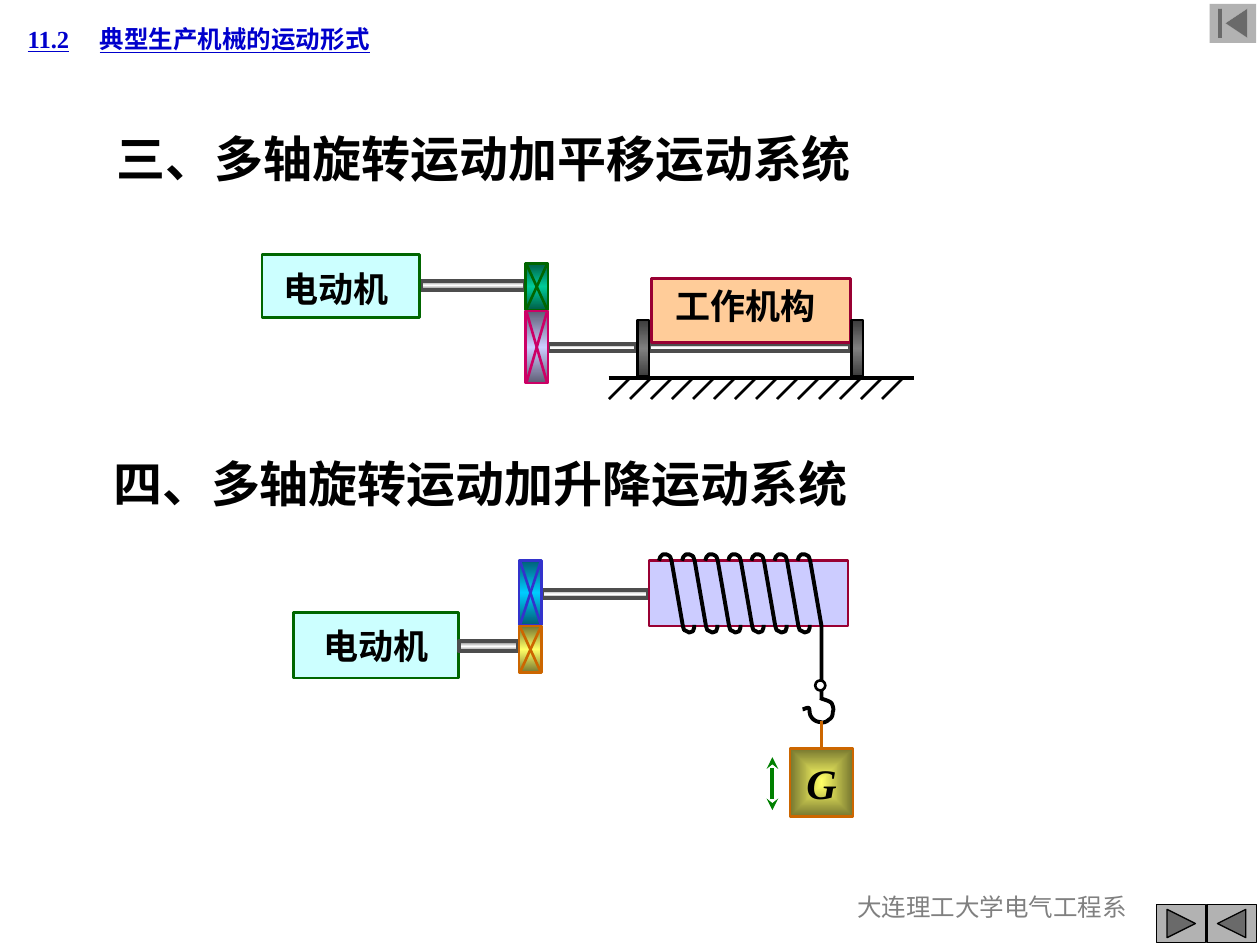
from lxml import etree
from pptx import Presentation
from pptx.dml.color import RGBColor
from pptx.enum.shapes import MSO_CONNECTOR as Connector, MSO_SHAPE as Preset
from pptx.enum.text import MSO_ANCHOR as Anchor, PP_ALIGN as Align
from pptx.oxml import parse_xml
from pptx.oxml.ns import nsdecls, qn
from pptx.util import Inches, Pt

WIDTH, HEIGHT = Inches(10), Inches(7.5)
COLUMNS, ROWS = 100, 75
STEEL = ("767676", "FFFFFF", "767676")
IRON = ("3B3B3B", "808080", "3B3B3B")


def color(value):
    return RGBColor.from_string(value)


def bezier(start, *segments, steps=8):
    """Points along a chain of cubic curves, each (control, control, end)."""
    points = [start]
    for b, c, d in segments:
        a = points[-1]
        for step in range(1, steps + 1):
            t = step / steps
            weights = ((1 - t) ** 3, 3 * t * (1 - t) ** 2, 3 * t * t * (1 - t), t ** 3)
            points.append(tuple(sum(w * p[axis] for w, p in zip(weights, (a, b, c, d)))
                                for axis in (0, 1)))
    return points


class Diagram:
    """Style and current slide; all lengths are grid columns and rows."""
    font_name = "Times New Roman"

    def __init__(self, slide):
        self.slide = slide
        self.shapes = slide.shapes

    def x(self, column):
        return round(WIDTH * column / COLUMNS)

    def y(self, row):
        return round(HEIGHT * row / ROWS)

    def box(self, left, top, width, height):
        return self.x(left), self.y(top), self.x(width), self.y(height)

    def outline(self, shape, value, width):
        shape.line.color.rgb = color(value)
        shape.line.width = Pt(width)

    def set_text(self, shape, text, size, value="000000", align=Align.LEFT, anchor=Anchor.TOP,
                 wrap=False, bold=True, italic=False, underline=False, top=0.5, right=1, tab=None):
        frame = shape.text_frame
        frame.word_wrap = wrap
        frame.vertical_anchor = anchor
        frame.margin_left, frame.margin_right = self.x(1), self.x(right)
        frame.margin_top, frame.margin_bottom = self.y(top), self.y(0.5)
        frame.text = text
        paragraph = frame.paragraphs[0]
        paragraph.alignment = align
        if tab:
            tabs = etree.SubElement(paragraph._p.get_or_add_pPr(), qn("a:tabLst"))
            etree.SubElement(tabs, qn("a:tab"), pos=str(self.x(tab)), algn="l")
        font = paragraph.font
        font.name, font.size, font.color.rgb = self.font_name, Pt(size), color(value)
        font.bold, font.italic, font.underline = bold, italic, underline

    def title(self, text, place, **style):
        shape = self.shapes.title
        shape.left, shape.top, shape.width, shape.height = self.box(*place)
        self.set_text(shape, text, **style)

    def label(self, text, place, **style):
        self.set_text(self.shapes.add_textbox(*self.box(*place)), text, **style)

    def block(self, place, fill, line=None, width=1.5, preset=Preset.RECTANGLE):
        """A preset shape; a tuple of colours gives a vertical gradient."""
        shape = self.shapes.add_shape(preset, *self.box(*place))
        shape.shadow.inherit = False
        if isinstance(fill, tuple):
            self.gradient(shape, fill, '<a:lin ang="5400000" scaled="0"/>')
        else:
            shape.fill.solid()
            shape.fill.fore_color.rgb = color(fill)
        if line:
            self.outline(shape, line, width)
        else:
            shape.line.fill.background()
        return shape

    def gradient(self, shape, colors, direction):
        stops = "".join(
            f'<a:gs pos="{100000 * i // (len(colors) - 1)}"><a:srgbClr val="{value}"/></a:gs>'
            for i, value in enumerate(colors))
        properties = shape._element.spPr
        for old in properties.findall(qn("a:solidFill")):
            properties.remove(old)
        properties.find(qn("a:prstGeom")).addnext(parse_xml(
            f'<a:gradFill {nsdecls("a")} rotWithShape="1"><a:gsLst>{stops}</a:gsLst>'
            f'{direction}</a:gradFill>'))

    def line(self, start, end, value="000000", width=1.5, arrows=False):
        connector = self.shapes.add_connector(
            Connector.STRAIGHT, self.x(start[0]), self.y(start[1]), self.x(end[0]), self.y(end[1]))
        self.outline(connector, value, width)
        if arrows:
            for name in ("a:headEnd", "a:tailEnd"):
                etree.SubElement(connector.line._get_or_add_ln(), qn(name), type="stealth")
        etree.SubElement(connector._element.spPr, qn("a:effectLst"))
        return connector

    def curve(self, points, width=2.25):
        places = [(self.x(column), self.y(row)) for column, row in points]
        builder = self.shapes.build_freeform(*places[0], scale=1.0)
        builder.add_line_segments(places[1:], close=False)
        shape = builder.convert_to_shape()
        shape.shadow.inherit = False
        shape.fill.background()
        self.outline(shape, "000000", width)

    def shaft(self, *place):
        self.block(place, STEEL, "4D4D4D", 2.25)

    def gear(self, left, top, width, height, dark, light, line):
        self.block((left, top, width, height), (dark, light, dark), line)
        right, bottom = left + width - 0.1, top + height - 0.1
        self.line((left + 0.1, top + 0.1), (right, bottom), line)
        self.line((right, top + 0.1), (left + 0.1, bottom), line)

    def machine(self, text, place, fill, line, **style):
        self.set_text(self.block(place, fill, line), text, 20, align=Align.CENTER, **style)


def main():
    presentation = Presentation()
    presentation.slide_width, presentation.slide_height = WIDTH, HEIGHT
    diagram = Diagram(presentation.slides.add_slide(presentation.slide_layouts[5]))

    # Title, section headings and footer
    diagram.title("11.2\t典型生产机械的运动形式", (1.2, 1.4, 40.1, 3.4), size=14, value="0000CC",
                  anchor=Anchor.MIDDLE, wrap=True, underline=True, tab=5.7)
    diagram.label("三、多轴旋转运动加平移运动系统", (8.3, 9.7, 62.2, 5.7), size=28)
    diagram.label("四、多轴旋转运动加升降运动系统", (8, 35.5, 62.2, 5.7), size=28)
    diagram.label("大连理工大学电气工程系", (62.9, 70.3, 31.7, 5), size=14, value="808080",
                  align=Align.CENTER, wrap=True, bold=False)

    # Navigation buttons
    for preset, place, line in (
            (Preset.ACTION_BUTTON_FORWARD_OR_NEXT, (91.8, 71.8, 3.9, 3), "000000"),
            (Preset.ACTION_BUTTON_BACK_OR_PREVIOUS, (95.8, 71.8, 3.9, 3), "000000"),
            (Preset.ACTION_BUTTON_BEGINNING, (96, 0.3, 3.7, 3.1), None)):
        diagram.block(place, "B2B2B2", line, 0.75, preset)

    # Translation system: shafts, gears, motor and carriage
    diagram.shaft(33.4, 22.3, 8.3, 0.7)
    diagram.shaft(43.5, 27.3, 7, 0.6)
    diagram.shaft(51.5, 27.3, 16, 0.6)
    diagram.gear(41.7, 20.9, 1.8, 3.7, "005E47", "00CC99", "006600")
    diagram.gear(41.7, 24.7, 1.8, 5.7, "5E5E76", "CCCCFF", "CC0066")
    diagram.machine("电动机", (20.8, 20.2, 12.5, 5), "CCFFFF", "006600", top=1, right=1.7)
    diagram.machine("工作机构", (51.7, 22.1, 15.8, 5.1), "FFCC99", "990033", right=1.8)
    for left in (50.6, 67.6):
        diagram.block((left, 25.4, 0.9, 4.5), IRON, "000000")

    # Ground with hatching
    diagram.line((48.3, 30), (72.5, 30), width=2.25)
    pitch = 5 / 3
    for i in range(14):
        top = 50 + i * pitch
        diagram.line((top, 30), (top - pitch, 30 + pitch))

    # Lifting system: motor, shafts and gears
    diagram.machine("电动机", (23.3, 48.6, 13.1, 5.2), "CCFFFF", "006600", top=1)
    diagram.shaft(43, 46.8, 8.4, 0.7)
    diagram.shaft(36.4, 50.9, 4.7, 0.8)
    diagram.gear(41.2, 44.5, 1.8, 5.1, "005E76", "00CCFF", "3333CC")
    diagram.gear(41.2, 49.7, 1.8, 3.7, "76762F", "FFFF66", "CC6600")

    # Hook
    diagram.curve(bezier(
        (63.7, 56.3),
        ((63.8, 56.3), (64.1, 56.1), (64.2, 56.2)),
        ((64.3, 56.3), (64.2, 56.7), (64.4, 56.9)),
        ((64.5, 57.1), (64.8, 57.3), (65.1, 57.3)),
        ((65.3, 57.4), (65.6, 57.3), (65.8, 57.1)),
        ((66, 57), (66.1, 56.8), (66.1, 56.5)),
        ((66.2, 56.3), (66.1, 56), (66, 55.8)),
        ((65.8, 55.6), (65.3, 55.5), (65.1, 55.4))))

    # Load with its sling and direction of motion
    load = diagram.block((62.7, 59.4, 5, 5.4), "FFFF66", "CC6600")
    diagram.gradient(load, ("FFFF66", "76762F"), '<a:path path="rect">'
                     '<a:fillToRect l="50000" t="50000" r="50000" b="50000"/></a:path>')
    diagram.set_text(load, "G", 24, align=Align.CENTER, anchor=Anchor.MIDDLE, italic=True)
    diagram.line((65.2, 57.2), (65.2, 59.4), "CC6600", 2.25).end_connect(load, 0)
    diagram.line((61.3, 60.1), (61.3, 64.3), "008000", 2.25, arrows=True)

    # Drum with rope; the last turn runs down to the hook
    diagram.block((51.5, 44.5, 15.8, 5.2), "CCCCFF", "990033")
    turn = [(0, 44.5), (0.1, 44.2), (0.3, 44), (0.6, 44), (0.8, 44.1), (0.9, 44.2), (1, 44.5),
            (1.9, 49.7)]
    under = [(2, 50), (2.2, 50.1), (2.4, 50.2), (2.7, 50.1), (2.8, 49.8), (2.8, 49.6)]
    for i in range(7):
        rope = turn + (under if i < 6 else [(1.9, 55.5)])
        diagram.curve([(52.3 + i * 11 / 6 + column, row) for column, row in rope])
    diagram.block((64.7, 54, 0.8, 0.8), "FFFFFF", "000000", preset=Preset.OVAL)

    presentation.save("out.pptx")


if __name__ == "__main__":
    main()
